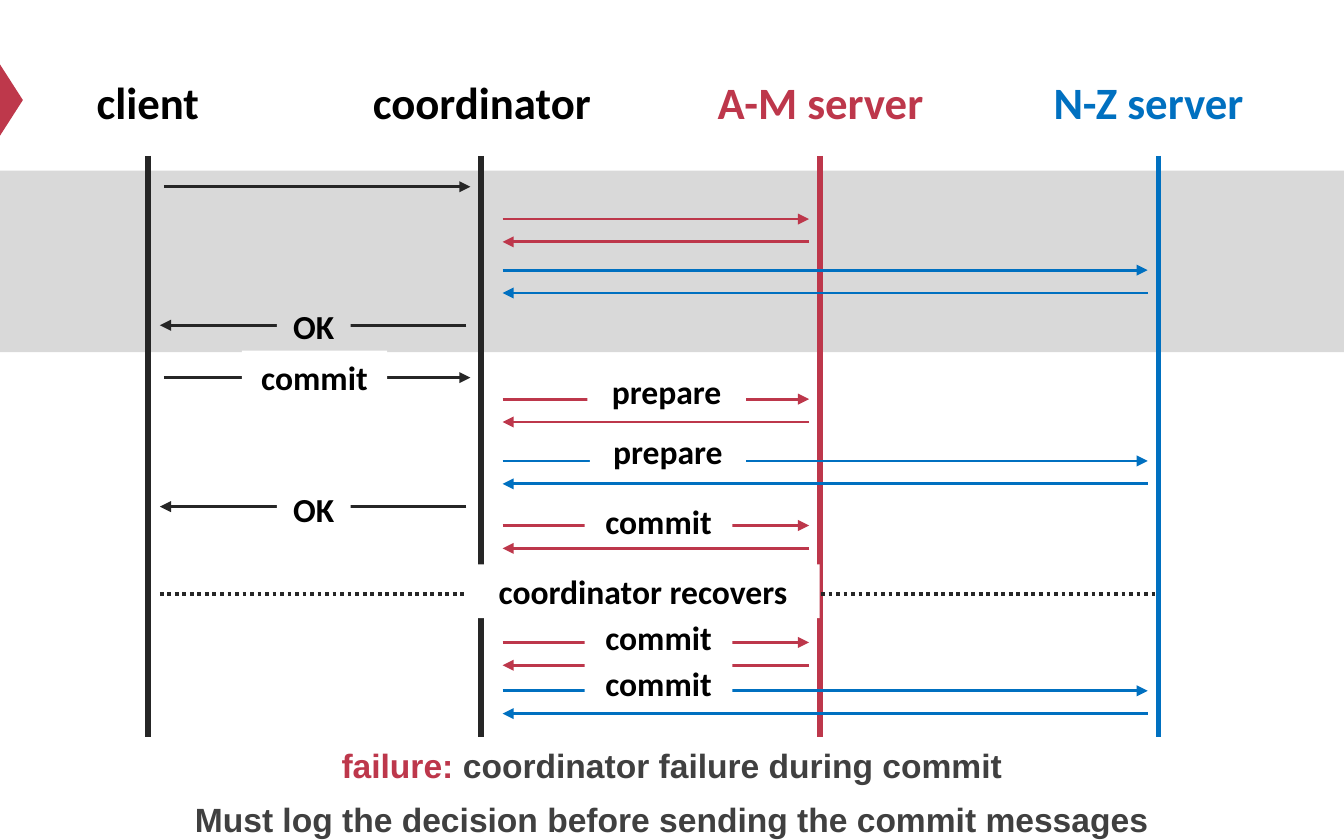
from typing import NamedTuple, Optional

from lxml.etree import SubElement
from pptx import Presentation
from pptx.dml.color import RGBColor
from pptx.enum.dml import MSO_LINE
from pptx.enum.shapes import MSO_CONNECTOR, MSO_SHAPE
from pptx.enum.text import MSO_ANCHOR, PP_ALIGN
from pptx.oxml.ns import qn
from pptx.util import Inches, Pt

COLORS = {
    "black": "000000",
    "dark": "262626",
    "text": "404040",
    "red": "BD374B",
    "marker": "BE384B",
    "blue": "0070C0",
    "gray": "D9D9D9",
    "white": "FFFFFF",
}
LABEL_FONT = {"name": "Calibri", "size": Pt(18), "bold": True}
HEADING_FONT = {**LABEL_FONT, "size": Pt(24)}
FOOTER_FONT = {**LABEL_FONT, "name": "Arial"}
LABEL_HEIGHT = 0.4
LIFELINE_TOP, LIFELINE_BOTTOM = 1.16, 5.48


class Participant(NamedTuple):
    name: str
    x: float
    heading_left: float
    heading_width: float
    heading_color: str
    line_color: str


class Label(NamedTuple):
    text: str
    left: float
    top: float
    width: float
    fill: str = "white"


class Message(NamedTuple):
    x1: float
    x2: float
    y: float
    color: str
    label: Optional[Label] = None


PARTICIPANTS = [
    Participant("client", 1.1, 0.51, 1.18, "black", "dark"),
    Participant("coordinator", 3.58, 2.56, 2.05, "black", "dark"),
    Participant("A-M server", 6.1, 5.08, 2.05, "red", "red"),
    Participant("N-Z server", 8.62, 7.52, 2.05, "blue", "blue"),
]


def exchange(y: float, server: str, label: Optional[Label] = None) -> list[Message]:
    """Return a coordinator's request to a server and the reply below it."""
    left, right = 3.74, {"red": 6.02, "blue": 8.54}[server]
    return [Message(left, right, y, server, label),
            Message(right, left, y + 0.17, server)]


def client_request(y: float, label: Optional[Label] = None) -> Message:
    return Message(1.22, 3.5, y, "dark", label)


def client_reply(y: float, label: Label) -> Message:
    return Message(3.47, 1.19, y, "dark", label)


MESSAGES = [
    client_request(1.39),
    *exchange(1.63, "red"),
    *exchange(2.01, "blue"),
    client_reply(2.42, Label("OK", 2.06, 2.23, 0.55, "gray")),
    client_request(2.81, Label("commit", 1.8, 2.61, 1.08)),
    *exchange(2.97, "red", Label("prepare", 4.37, 2.71, 1.18)),
    *exchange(3.43, "blue", Label("prepare", 4.39, 3.16, 1.16)),
    client_reply(3.77, Label("OK", 2.06, 3.59, 0.55)),
    *exchange(3.91, "red", Label("commit", 4.35, 3.68, 1.1)),
    *exchange(4.78, "red", Label("commit", 4.35, 4.54, 1.1)),
    *exchange(5.14, "blue", Label("commit", 4.35, 4.88, 1.1)),
]


def rgb(color: str) -> RGBColor:
    return RGBColor.from_string(COLORS[color])


def add_run(p, text: str, font: dict, color: str) -> None:
    r = p.add_run()
    r.text = text
    for key, value in font.items():
        setattr(r.font, key, value)
    r.font.color.rgb = rgb(color)


def add_line(s, x1: float, y1: float, x2: float, y2: float, color: str, width: float):
    c = s.shapes.add_connector(MSO_CONNECTOR.STRAIGHT, Inches(x1), Inches(y1),
                               Inches(x2), Inches(y2))
    c.line.color.rgb = rgb(color)
    c.line.width = Pt(width)
    SubElement(c._element.spPr, qn("a:effectLst"))
    return c


def add_filled(s, kind: MSO_SHAPE, left: float, top: float, width: float,
               height: float, color: str):
    sp = s.shapes.add_shape(kind, Inches(left), Inches(top), Inches(width), Inches(height))
    sp.shadow.inherit = False
    sp.fill.solid()
    sp.fill.fore_color.rgb = rgb(color)
    sp.line.fill.background()
    return sp


def add_label(s, label: Label) -> None:
    sp = add_filled(s, MSO_SHAPE.RECTANGLE, label.left, label.top, label.width,
                    LABEL_HEIGHT, label.fill)
    tf = sp.text_frame
    tf.word_wrap = False
    tf.vertical_anchor = MSO_ANCHOR.TOP
    p = tf.paragraphs[0]
    p.alignment = PP_ALIGN.CENTER
    add_run(p, label.text, LABEL_FONT, "black")


def add_participant(s, part: Participant) -> None:
    """Draw the heading and the lifeline below it."""
    box = s.shapes.add_textbox(Inches(part.heading_left), Inches(0.51),
                               Inches(part.heading_width), Inches(0.5))
    box.text_frame.word_wrap = True
    p = box.text_frame.paragraphs[0]
    p.alignment = PP_ALIGN.CENTER
    add_run(p, part.name, HEADING_FONT, part.heading_color)
    add_line(s, part.x, LIFELINE_TOP, part.x, LIFELINE_BOTTOM, part.line_color, 3)


def add_message(s, msg: Message) -> None:
    c = add_line(s, msg.x1, msg.y, msg.x2, msg.y, msg.color, 1.5)
    SubElement(c.line._get_or_add_ln(), qn("a:tailEnd"), type="triangle")
    if msg.label:
        add_label(s, msg.label)


def add_recovery(s) -> None:
    c = add_line(s, 1.19, 4.42, 8.62, 4.42, "dark", 2)
    c.line.dash_style = MSO_LINE.ROUND_DOT
    add_label(s, Label("coordinator recovers", 3.47, 4.2, 2.63))


def add_footer(s) -> None:
    box = s.shapes.add_textbox(Inches(0.5), Inches(5.43), Inches(9), Inches(0.82))
    tf = box.text_frame
    tf.word_wrap = True
    first, second = tf.paragraphs[0], tf.add_paragraph()
    for p in (first, second):
        p.alignment = PP_ALIGN.CENTER
        p.line_spacing = 1.2
    second.space_before = Pt(3)
    add_run(first, "failure: ", FOOTER_FONT, "red")
    add_run(first, "coordinator failure during commit", FOOTER_FONT, "text")
    add_run(second, "Must log the decision before sending the commit messages",
            FOOTER_FONT, "text")


def main() -> None:
    prs = Presentation()
    prs.slide_width, prs.slide_height = Inches(10), Inches(6.25)
    s = prs.slides.add_slide(prs.slide_layouts[6])

    marker = add_filled(s, MSO_SHAPE.ISOSCELES_TRIANGLE, -0.18, 0.66, 0.53, 0.17, "marker")
    marker.rotation = 90
    add_filled(s, MSO_SHAPE.RECTANGLE, 0, 1.27, 10, 1.35, "gray")
    for part in PARTICIPANTS:
        add_participant(s, part)
    add_recovery(s)
    for msg in MESSAGES:
        add_message(s, msg)
    add_footer(s)
    prs.save("out.pptx")


if __name__ == "__main__":
    main()
